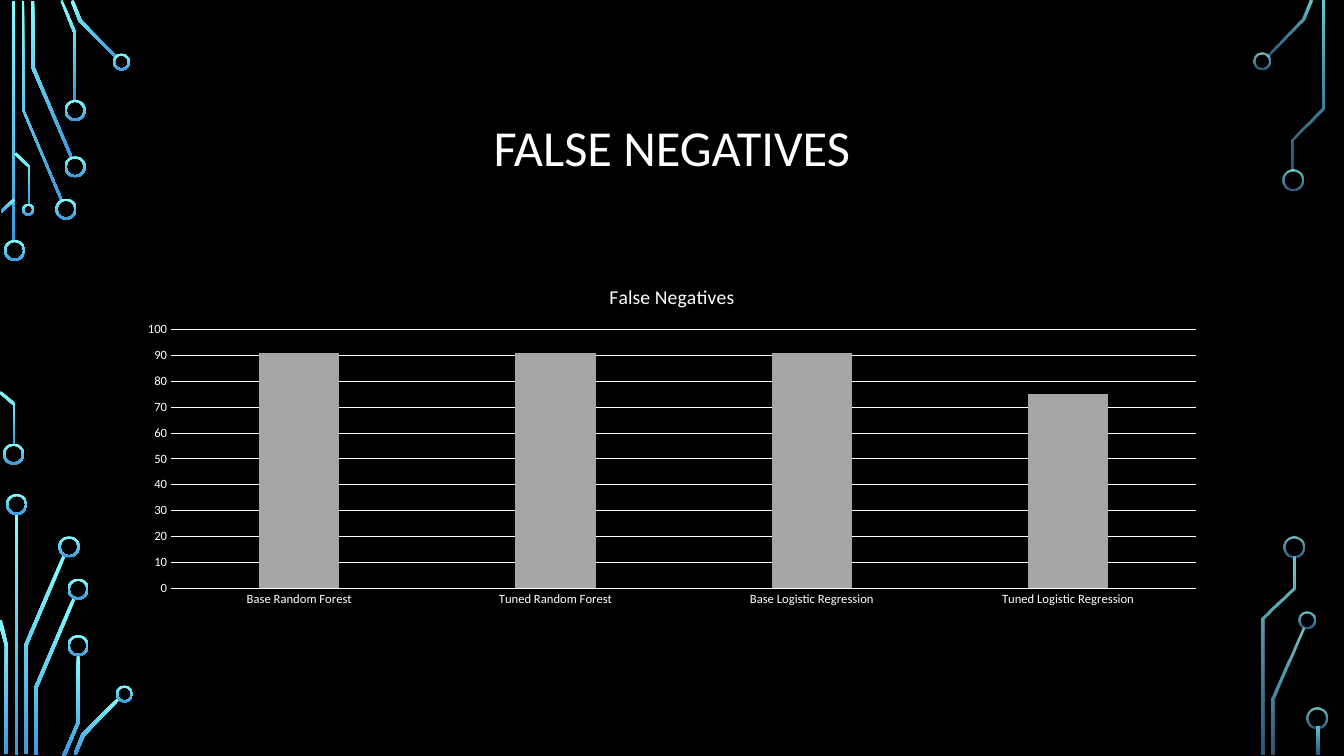
from pptx import Presentation
from pptx.chart.data import CategoryChartData
from pptx.dml.color import RGBColor
from pptx.enum.chart import XL_CHART_TYPE, XL_TICK_MARK
from pptx.enum.shapes import MSO_SHAPE
from pptx.enum.text import MSO_ANCHOR, PP_ALIGN
from pptx.oxml.ns import qn
from pptx.util import Inches, Pt
from lxml import etree

BLACK = RGBColor(0x00, 0x00, 0x00)
WHITE = RGBColor(0xFF, 0xFF, 0xFF)
GREY = RGBColor(0xA6, 0xA6, 0xA6)
CYAN = RGBColor(0x82, 0xFF, 0xFF)
BLUE = RGBColor(0x3D, 0x97, 0xDE)
FONT = "Calibri"
OPAQUE, FADED = (100, 100), (80, 60)
RING_WIDTH = 0.02

# Outlines of the circuit traces, as x, y corners
LEFT_TRACES = [
    [(0.12, 0.01), (0.15, 0.01), (0.15, 2.4), (0.12, 2.4)],
    [(0.6, 1.99), (0.22, 1.09), (0.22, 0.01), (0.24, 0.01), (0.24, 1.09), (0.62, 1.98)],
    [(0.7, 1.57), (0.31, 0.67), (0.31, 0.01), (0.34, 0.01), (0.34, 0.66), (0.72, 1.56)],
    [(0.76, 1), (0.73, 1), (0.73, 0.33), (0.6, 0.01), (0.62, 0), (0.76, 0.33)],
    [(1.15, 0.58), (0.78, 0.21), (0.7, 0.01), (0.73, 0), (0.81, 0.2), (1.16, 0.56)],
    [(0.02, 2.11), (0.01, 2.09), (0.13, 1.97), (0.15, 1.99)],
    [(0.15, 4.41), (0.13, 4.41), (0.13, 4.02), (-0.01, 3.9), (0.01, 3.88), (0.15, 4)],
    [(0.3, 2.03), (0.28, 2.03), (0.28, 1.66), (0.14, 1.53), (0.16, 1.51), (0.3, 1.65)],
    [(0.15, 5.1), (0.18, 5.1), (0.18, 7.49), (0.15, 7.49)],
    [(0.27, 7.48), (0.24, 7.48), (0.24, 6.4), (0.62, 5.51), (0.65, 5.52), (0.27, 6.41)],
    [(0.08, 7.48), (0.05, 7.48), (0.05, 6.41), (-0.02, 6.16), (0.02, 6.15), (0.08, 6.41)],
    [(0.37, 7.49), (0.34, 7.49), (0.34, 6.82), (0.72, 5.93), (0.75, 5.94), (0.37, 6.83)],
    [(0.65, 7.5), (0.62, 7.49), (0.76, 7.17), (0.76, 6.5), (0.79, 6.5), (0.79, 7.17)],
    [(0.76, 7.49), (0.73, 7.48), (0.81, 7.28), (1.17, 6.92), (1.19, 6.94), (0.84, 7.3)],
]
RIGHT_TRACES = [
    [(12.58, 0.56), (12.56, 0.55), (12.91, 0.19), (12.99, 0), (13.02, 0.01), (12.94, 0.2)],
    [(12.64, 7.49), (12.61, 7.49), (12.61, 6.93), (12.92, 6.23), (12.94, 6.24), (12.64, 6.94)],
    [(12.83, 1.69), (12.81, 1.69), (12.81, 1.38), (13.11, 1.07), (13.11, 0.01), (13.14, 0.01),
     (13.14, 1.08), (12.83, 1.39)],
    [(12.54, 7.49), (12.51, 7.49), (12.51, 6.13), (12.82, 5.83), (12.82, 5.52), (12.85, 5.52),
     (12.85, 5.84), (12.54, 6.14)],
    [(13.06, 7.21), (13.09, 7.21), (13.09, 7.49), (13.06, 7.49)],
]
# Rings at the trace ends: left, top, diameter
LEFT_RINGS = [
    (0.04, 2.38, 0.21), (0.03, 4.4, 0.21), (0.55, 1.97, 0.21), (0.64, 1.55, 0.21),
    (0.64, 0.99, 0.21), (1.12, 0.53, 0.17), (0.22, 2.02, 0.12), (0.06, 4.9, 0.21),
    (0.58, 5.32, 0.21), (0.67, 5.74, 0.21), (0.67, 6.3, 0.21), (1.15, 6.8, 0.17),
]
RIGHT_RINGS = [
    (12.43, 0.52, 0.17), (12.72, 1.68, 0.21), (12.88, 6.07, 0.17),
    (12.73, 5.32, 0.21), (12.96, 7.02, 0.21),
]


def paint(sp, alphas):
    """Fill with the vertical cyan-to-blue gradient at the given opacities."""
    sp.shadow.inherit = False
    sp.line.fill.background()
    sp.fill.gradient()
    sp.fill.gradient_angle = 270
    for stop, rgb in zip(sp.fill.gradient_stops, (CYAN, BLUE)):
        stop.color.rgb = rgb
    for clr, alpha in zip(sp._element.spPr.iter(qn("a:srgbClr")), alphas):
        if alpha < 100:
            etree.SubElement(clr, qn("a:alpha"), val=str(alpha * 1000))


def set_font(font, size):
    font.name = FONT
    font.size = Pt(size)
    font.bold = False
    font.color.rgb = WHITE


prs = Presentation()
prs.slide_width, prs.slide_height = Inches(13.33), Inches(7.5)
s = prs.slides.add_slide(prs.slide_layouts[6])
s.background.fill.solid()
s.background.fill.fore_color.rgb = BLACK

# Circuit decoration
for traces, rings, alphas in ((LEFT_TRACES, LEFT_RINGS, OPAQUE),
                              (RIGHT_TRACES, RIGHT_RINGS, FADED)):
    for trace in traces:
        points = [(Inches(x), Inches(y)) for x, y in trace]
        builder = s.shapes.build_freeform(*points[0])
        builder.add_line_segments(points[1:], close=True)
        paint(builder.convert_to_shape(), alphas)
    for left, top, size in rings:
        ring = s.shapes.add_shape(MSO_SHAPE.DONUT, Inches(left), Inches(top),
                                  Inches(size), Inches(size))
        ring.adjustments[0] = RING_WIDTH / size
        paint(ring, alphas)

# Title
tf = s.shapes.add_textbox(Inches(1.25), Inches(0.68), Inches(10.83), Inches(1.62)).text_frame
tf.word_wrap = True
tf.vertical_anchor = MSO_ANCHOR.MIDDLE
p = tf.paragraphs[0]
p.text = "FALSE NEGATIVES"
p.alignment = PP_ALIGN.CENTER
p.line_spacing = 0.9
set_font(p.font, 36)

# Chart
data = CategoryChartData()
data.categories = ["Base Random Forest", "Tuned Random Forest",
                   "Base Logistic Regression", "Tuned Logistic Regression"]
data.add_series("False Negatives", (91, 91, 91, 75))
chart = s.shapes.add_chart(XL_CHART_TYPE.COLUMN_CLUSTERED, Inches(1.25), Inches(2.65),
                           Inches(10.83), Inches(3.44), data).chart
set_font(chart.font, 10)
chart.has_legend = False
chart.has_title = True
p = chart.chart_title.text_frame.paragraphs[0]
p.text = "False Negatives"
set_font(p.font, 14)
chart.chart_title.include_in_layout = False

plot = chart.plots[0]
plot.gap_width = 219
plot.overlap = -27
plot.vary_by_categories = False
columns = plot.series[0]
columns.format.fill.solid()
columns.format.fill.fore_color.rgb = GREY

for axis in (chart.category_axis, chart.value_axis):
    axis.major_tick_mark = axis.minor_tick_mark = XL_TICK_MARK.NONE
    set_font(axis.tick_labels.font, 9)
values = chart.value_axis
values.minimum_scale, values.maximum_scale, values.major_unit = 0, 100, 10
values.format.line.fill.background()
values.has_major_gridlines = True
for line in (chart.category_axis.format.line, values.major_gridlines.format.line):
    line.color.rgb = WHITE
    line.width = Pt(0.75)

prs.save("out.pptx")
